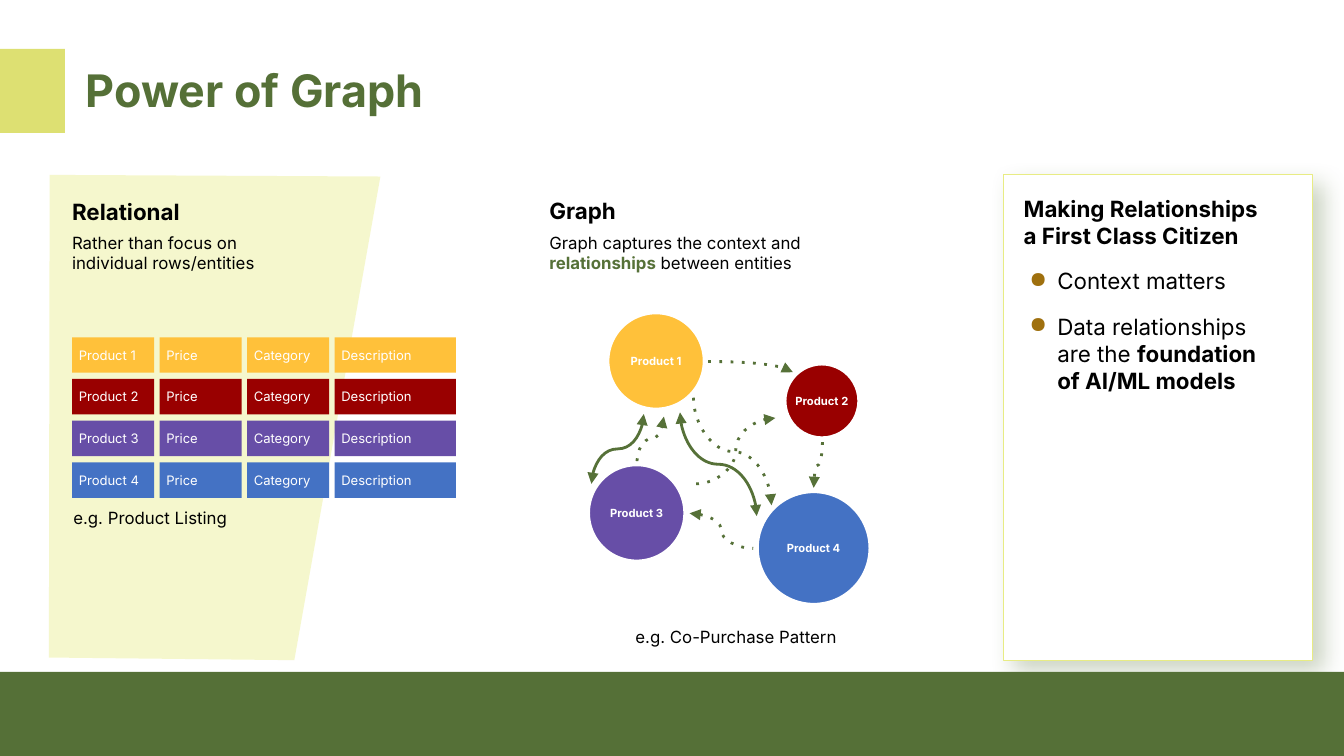
"""Build the slide comparing relational tables with a product graph."""
from lxml.etree import SubElement
from pptx import Presentation
from pptx.dml.color import RGBColor
from pptx.enum.shapes import MSO_CONNECTOR, MSO_SHAPE
from pptx.enum.text import MSO_ANCHOR, MSO_AUTO_SIZE, PP_ALIGN
from pptx.oxml.ns import qn
from pptx.util import Pt

GREEN, ARROW_GREEN, LIME, PALE_LIME = "557037", "567138", "DDE072", "E8EC84"
BLACK, WHITE, BULLET_BROWN = "000000", "FFFFFF", "9F700E"
BOLD = {"bold": True}

PRODUCT_COLORS = {
    "Product 1": "FFC13A",
    "Product 2": "990000",
    "Product 3": "674EA7",
    "Product 4": "4472C4",
}
ATTRIBUTES = ["Price", "Category", "Description"]
COLUMN_WIDTHS = [44, 44, 44, 65]
TABLE_LEFT, TABLE_TOP, ROW_HEIGHT, ROW_PITCH, COLUMN_GAP = 38.7, 180.7, 19, 22.35, 2.85

LABELS = [
    ((38.9, 30.2, 453, 36), [[("Power of Graph", BOLD)]],
     {"size": 24, "color": GREEN, "insets": (7.2, 3.6, 7.2, 3.6), "grow": True}),
    ((35, 102.5, 130, 25), [[("Relational", BOLD)]], {"size": 12}),
    ((35, 121, 166, 52.5), [[("Rather than focus on\nindividual rows/entities", {})]], {}),
    ((35.7, 268.3, 236, 25), [[("e.g. Product Listing", {})]], {}),
    ((290.7, 102, 161, 25), [[("Graph", BOLD)]], {"size": 12}),
    ((290.7, 121, 181, 25),
     [[("Graph captures the context and ", {}),
       ("relationships", {"bold": True, "color": ARROW_GREEN}),
       (" between entities", {})]], {}),
    ((290.7, 328.6, 207, 25), [[("e.g. Co-Purchase Pattern", {})]],
     {"align": PP_ALIGN.CENTER, "anchor": MSO_ANCHOR.MIDDLE}),
]
TAKEAWAYS = [
    [("Making Relationships\na First Class Citizen", BOLD)],
    [("Context matters", {})],
    [("Data relationships\nare the ", {}), ("foundation\nof AI/ML models", BOLD)],
]
NODES = [
    ("Product 2", 440.35, 214.8, 44),
    ("Product 4", 435.9, 293.6, 64.8),
    ("Product 1", 351.5, 193.4, 56),
    ("Product 3", 341.1, 274.8, 56),
]
DOTTED, TAIL, HEAD, VERTICAL, BEND = "dotted", "tailEnd", "headEnd", "vertical", "bend"
EDGES = [
    ((373, 259.2), (415.4, 223.9), {DOTTED, TAIL}),
    ((371.5, 213.1), (413.3, 270.7), {DOTTED, TAIL, VERTICAL}),
    ((364.3, 221), (405.4, 276.5), {HEAD, TAIL, VERTICAL}),
    ((341.3, 247), (355.7, 223.2), {DOTTED, TAIL, VERTICAL}),
    ((369.4, 275), (403.5, 293.8), {DOTTED, HEAD}),
    ((379.4, 193.7), (424.8, 199.4), {DOTTED, TAIL, BEND}),
    ((440.6, 236.9), (435.9, 261.4), {DOTTED, TAIL, VERTICAL}),
    ((344.9, 221.8), (316.8, 259.2), {HEAD, TAIL, VERTICAL}),
]


def rgb(value):
    return RGBColor.from_string(value)


def add_bullet(paragraph):
    properties = paragraph._p.get_or_add_pPr()
    properties.set("marL", str(Pt(18)))
    properties.set("indent", str(Pt(-15)))
    color = SubElement(properties, qn("a:buClr"))
    SubElement(color, qn("a:srgbClr"), val=BULLET_BROWN)
    SubElement(properties, qn("a:buChar"), char="●")
    paragraph.space_before = Pt(10)


def write_text(shape, paragraphs, size=9, color=BLACK, align=PP_ALIGN.LEFT,
               anchor=MSO_ANCHOR.TOP, insets=(3.6, 3.6, 3.6, 3.6),
               bulleted=False, grow=False):
    frame = shape.text_frame
    frame.word_wrap = True
    frame.vertical_anchor = anchor
    frame.auto_size = MSO_AUTO_SIZE.SHAPE_TO_FIT_TEXT if grow else MSO_AUTO_SIZE.NONE
    frame.margin_left, frame.margin_top, frame.margin_right, frame.margin_bottom = map(Pt, insets)
    for index, runs in enumerate(paragraphs):
        paragraph = frame.add_paragraph() if index else frame.paragraphs[0]
        paragraph.alignment = align
        if bulleted and index:
            add_bullet(paragraph)
        for text, style in runs:
            for line_index, line in enumerate(text.split("\n")):
                if line_index:
                    paragraph.add_line_break()
                run = paragraph.add_run()
                run.text = line
                run.font.name = "Inter"
                run.font.size = Pt(size)
                run.font.bold = style.get("bold", False)
                run.font.color.rgb = rgb(style.get("color", color))


def add_box(slide, kind, bounds, fill, line=None, width=0):
    shape = slide.shapes.add_shape(kind, *map(Pt, bounds))
    shape.shadow.inherit = False
    shape.fill.solid()
    shape.fill.fore_color.rgb = rgb(fill)
    if line:
        shape.line.color.rgb = rgb(line)
        shape.line.width = Pt(width)
    else:
        shape.line.fill.background()
    return shape


def add_panel(slide, points, fill, opacity):
    builder = slide.shapes.build_freeform(*map(Pt, points[0]))
    builder.add_line_segments([(Pt(x), Pt(y)) for x, y in points[1:]], close=True)
    panel = builder.convert_to_shape()
    panel.shadow.inherit = False
    panel.fill.solid()
    panel.fill.fore_color.rgb = rgb(fill)
    panel.line.fill.background()
    color = panel._element.spPr.find(".//" + qn("a:srgbClr"))
    SubElement(color, qn("a:alpha"), val=str(opacity * 1000))


def add_card_shadow(shape):
    effects = shape._element.spPr.find(qn("a:effectLst"))
    shadow = SubElement(effects, qn("a:outerShdw"), blurRad=str(Pt(12.4)), dist=str(Pt(7.5)),
                        dir=str(44 * 60000), algn="bl", rotWithShape="0")
    color = SubElement(shadow, qn("a:srgbClr"), val=ARROW_GREEN)
    SubElement(color, qn("a:alpha"), val="29000")


def add_edge(slide, start, end, traits):
    center_x, center_y = (start[0] + end[0]) / 2, (start[1] + end[1]) / 2
    across, down = end[0] - start[0], end[1] - start[1]
    if VERTICAL in traits:
        rotation, run, rise = (270, -down, across) if across > 0 else (90, down, -across)
    else:
        rotation, run, rise = (180, -across, -down) if down < 0 else (0, across, down)
    corners = (center_x - run / 2, center_y - rise / 2, center_x + run / 2, center_y + rise / 2)
    edge = slide.shapes.add_connector(MSO_CONNECTOR.CURVE, *map(Pt, corners))
    edge.rotation = rotation
    edge.line.color.rgb = rgb(ARROW_GREEN)
    edge.line.width = Pt(1.5)
    properties = edge._element.spPr
    if BEND in traits:
        properties.find(qn("a:prstGeom")).set("prst", "curvedConnector2")
    line = properties.find(qn("a:ln"))
    if DOTTED in traits:
        SubElement(line, qn("a:prstDash"), val="dot")
    for arrow in (HEAD, TAIL):
        if arrow in traits:
            SubElement(line, qn("a:" + arrow), type="triangle")
    SubElement(properties, qn("a:effectLst"))


def add_product_rows(slide):
    for row, (product, color) in enumerate(PRODUCT_COLORS.items()):
        left = TABLE_LEFT
        for text, width in zip([product, *ATTRIBUTES], COLUMN_WIDTHS):
            bounds = (left, TABLE_TOP + row * ROW_PITCH, width, ROW_HEIGHT)
            cell = add_box(slide, MSO_SHAPE.RECTANGLE, bounds, color)
            write_text(cell, [[(text, {})]], size=7, color=WHITE, anchor=MSO_ANCHOR.MIDDLE)
            left += width + COLUMN_GAP


def add_graph(slide):
    for product, center_x, center_y, diameter in NODES:
        bounds = (center_x - diameter / 2, center_y - diameter / 2, diameter, diameter)
        node = add_box(slide, MSO_SHAPE.OVAL, bounds, PRODUCT_COLORS[product], WHITE, 6)
        write_text(node, [[(product, BOLD)]], size=6, color=WHITE, align=PP_ALIGN.CENTER,
                   anchor=MSO_ANCHOR.MIDDLE, insets=(0, 0, 0, 0))
    for start, end, traits in EDGES:
        add_edge(slide, start, end, traits)


def main():
    presentation = Presentation()
    presentation.slide_width, presentation.slide_height = Pt(720), Pt(405)
    slide = presentation.slides.add_slide(presentation.slide_layouts[6])
    add_box(slide, MSO_SHAPE.RECTANGLE, (0, 26.2, 34.8, 45), LIME)
    add_box(slide, MSO_SHAPE.RECTANGLE, (0, 360, 720, 45), GREEN)
    add_panel(slide, [(203.8, 94.6), (157.7, 353.7), (26.2, 352.3), (26.6, 93.7)], PALE_LIME, 40)
    card = add_box(slide, MSO_SHAPE.RECTANGLE, (537.6, 93.6, 165.4, 260.2), WHITE, PALE_LIME, 0.75)
    add_card_shadow(card)
    write_text(card, TAKEAWAYS, size=12, insets=(10.8, 10.8, 3.6, 3.6), bulleted=True)
    add_product_rows(slide)
    for bounds, paragraphs, style in LABELS:
        write_text(slide.shapes.add_textbox(*map(Pt, bounds)), paragraphs, **style)
    add_graph(slide)
    presentation.save("out.pptx")


if __name__ == "__main__":
    main()
